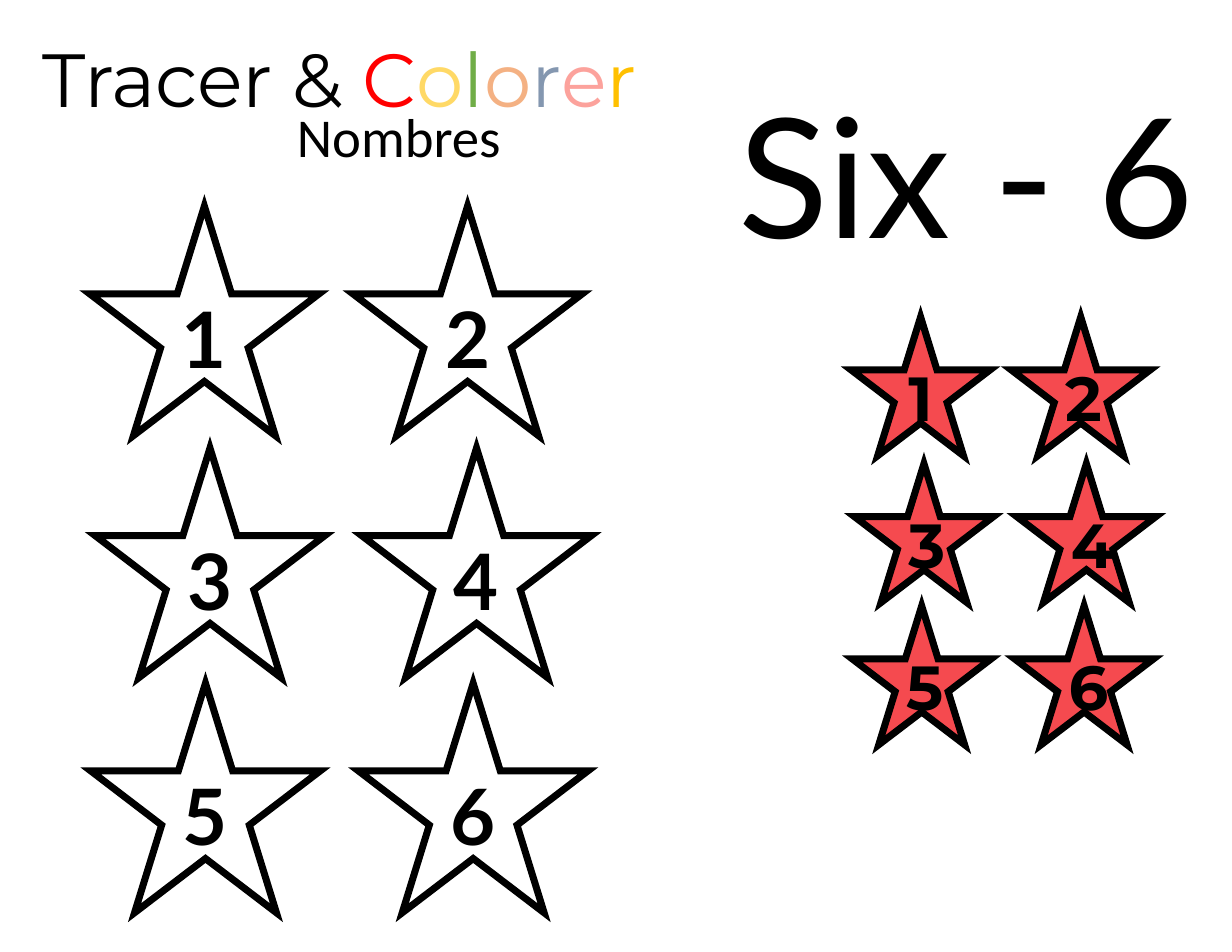
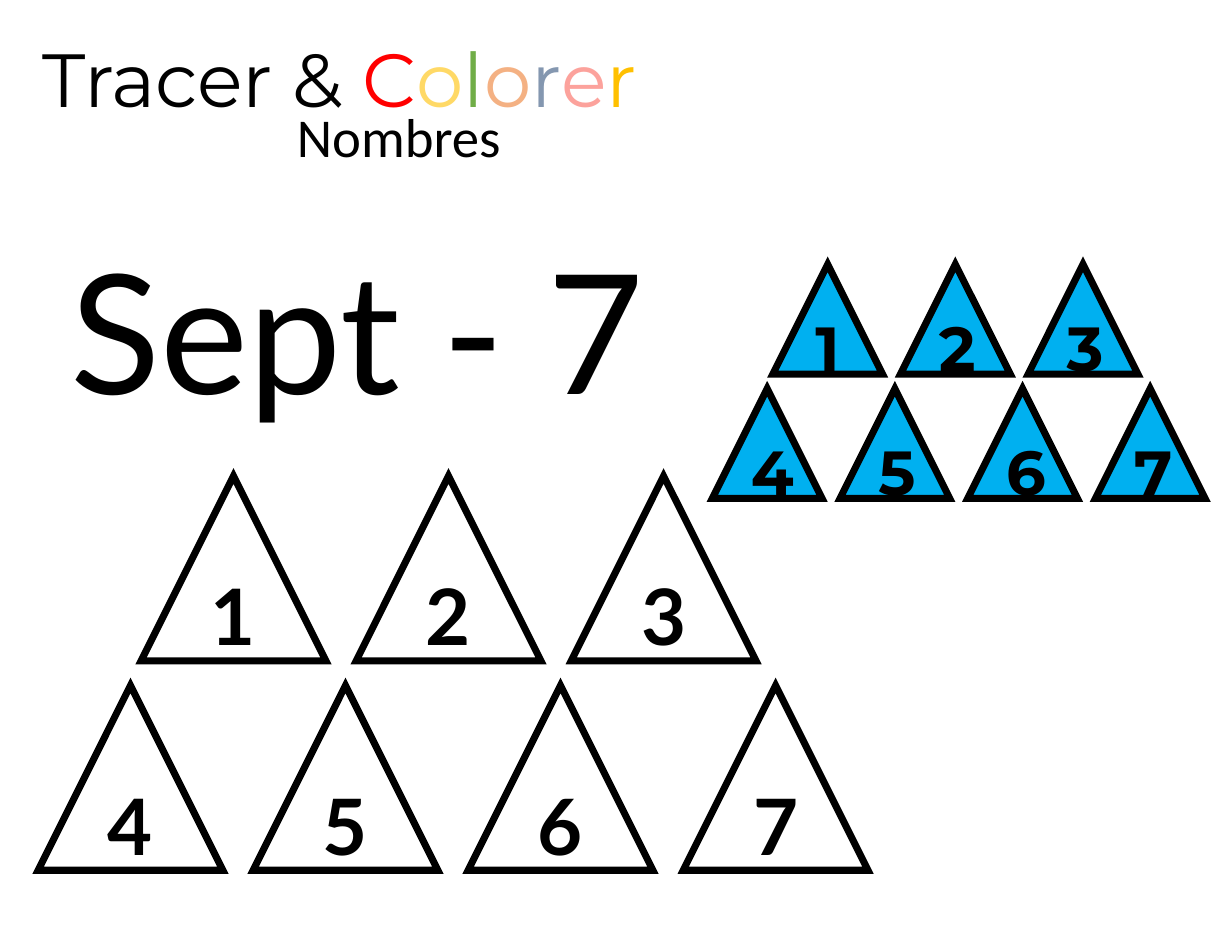
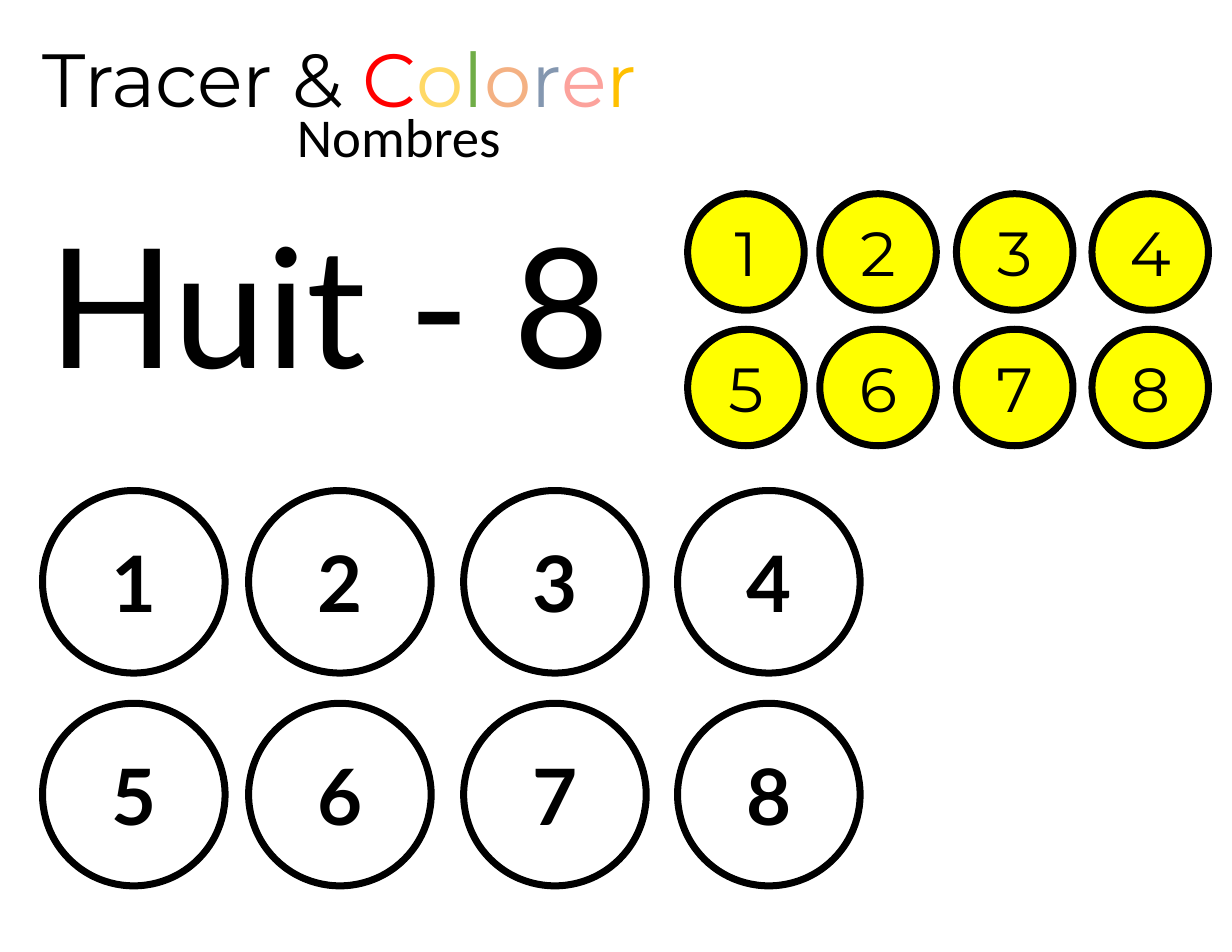
from dataclasses import dataclass

from lxml import etree
from pptx import Presentation
from pptx import util as u
from pptx.dml.color import RGBColor
from pptx.enum import shapes, text
from pptx.oxml.ns import qn


@dataclass(frozen=True)
class Theme:
    ink: str = "000000"
    paper: str = "FFFFFF"
    red: str = "F54A4F"
    blue: str = "00B0F0"
    yellow: str = "FFFF00"
    rainbow: tuple = ("FF0000", "FFD966", "70AD47", "F4B183",
                      "8497B0", "FCA29C", "FFC000")
    print_font: str = "Lato"
    brand_font: str = "Montserrat"
    plain_font: str = "Calibri"
    word: float = 107
    brand: float = 48.4
    topic: float = 35.2
    large: float = 50
    small: float = 40
    stroke: float = 4.5


T = Theme()
Kind = shapes.MSO_SHAPE
Align = text.PP_ALIGN
Anchor = text.MSO_ANCHOR


def write(frame, runs, *, font, size, bold=False, align=Align.LEFT,
          anchor=Anchor.TOP, fit=text.MSO_AUTO_SIZE.NONE):
    frame.word_wrap = True
    frame.auto_size = fit
    frame.vertical_anchor = anchor
    para = frame.paragraphs[0]
    para.alignment = align
    for words, color in runs:
        run = para.add_run()
        run.text = words
        run.font.name = font
        run.font.size = u.Pt(size)
        run.font.bold = bold
        run.font.color.rgb = RGBColor.from_string(color)


def place(box):
    return [u.Inches(n) for n in box]


def label(slide, box, runs, **style):
    frame = slide.shapes.add_textbox(*place(box)).text_frame
    write(frame, runs, fit=text.MSO_AUTO_SIZE.SHAPE_TO_FIT_TEXT, **style)


def title(slide, box, words):
    head = slide.shapes.title
    head.left, head.top, head.width, head.height = place(box)
    write(head.text_frame, [(words, T.ink)], font=T.print_font, size=T.word,
          fit=text.MSO_AUTO_SIZE.SHAPE_TO_FIT_TEXT)


def banner(slide):
    label(slide, (1, 0.87, 5.12, 0.69), [("Nombres", T.ink)],
          font=T.plain_font, size=T.topic, align=Align.CENTER)
    label(slide, (0.28, 0.24, 6.42, 0.92),
          [("Tracer & ", T.ink), *zip("Colorer", T.rainbow)],
          font=T.brand_font, size=T.brand)


def token(slide, kind, left, top, side, number, fill, **style):
    shape = slide.shapes.add_shape(kind, *place((left, top, side, side)))
    shape.shadow.inherit = False
    shape.fill.solid()
    shape.fill.fore_color.rgb = RGBColor.from_string(fill)
    shape.line.color.rgb = RGBColor.from_string(T.ink)
    shape.line.width = u.Pt(T.stroke)
    line = shape.element.spPr.find(qn("a:ln"))
    etree.SubElement(line, qn("a:miter")).set("lim", "800000")
    write(shape.text_frame, [(str(number), T.ink)], align=Align.CENTER,
          anchor=Anchor.MIDDLE, **style)


def series(slide, kind, side, rows, fill, **style):
    spots = [(left, top) for top, lefts in rows for left in lefts]
    for number, (left, top) in enumerate(spots, 1):
        token(slide, kind, left, top, side, number, fill, **style)


def trace(slide, kind, side, rows):
    series(slide, kind, side, rows, T.paper,
           font=T.print_font, size=T.large, bold=True)


def model(slide, kind, side, rows, fill, bold=True):
    series(slide, kind, side, rows, fill,
           font=T.brand_font, size=T.small, bold=bold)


def spread(left, step, count):
    return [left + step * i for i in range(count)]


def stars(slide):
    title(slide, (6.49, 0.59, 4.41, 1.9), "Six - 6")
    trace(slide, Kind.STAR_5_POINT, 2.05, [
        (1.84, (0.8, 3.15)), (4, (0.85, 3.23)), (6.1, (0.81, 3.2))])
    model(slide, Kind.STAR_5_POINT, 1.24, [
        (2.83, (7.6, 9.03)), (4.14, (7.63, 9.08)), (5.41, (7.61, 9.06))],
        T.red)


def peaks(slide):
    title(slide, (0.53, 1.99, 6.21, 1.9), "Sept - 7")
    trace(slide, Kind.ISOSCELES_TRIANGLE, 1.65, [
        (4.25, spread(1.26, 1.92, 3)), (6.12, spread(0.34, 1.92, 4))])
    model(slide, Kind.ISOSCELES_TRIANGLE, 0.98, [
        (2.36, spread(6.9, 1.14, 3)), (3.47, spread(6.36, 1.14, 4))],
        T.blue)


def rounds(slide):
    title(slide, (0.33, 1.75, 5.73, 1.9), "Huit - 8")
    wide = (0.38, 2.22, 4.14, 6.05)
    tight = (6.14, 7.32, 8.54, 9.75)
    trace(slide, Kind.OVAL, 1.63, [(4.38, wide), (6.28, wide)])
    model(slide, Kind.OVAL, 1.04, [(1.73, tight), (2.94, tight)],
          T.yellow, bold=False)


def main():
    deck = Presentation()
    deck.slide_width, deck.slide_height = u.Inches(11), u.Inches(8.5)
    for draw in (stars, peaks, rounds):
        slide = deck.slides.add_slide(deck.slide_layouts[5])
        draw(slide)
        banner(slide)
    deck.save("out.pptx")


if __name__ == "__main__":
    main()
